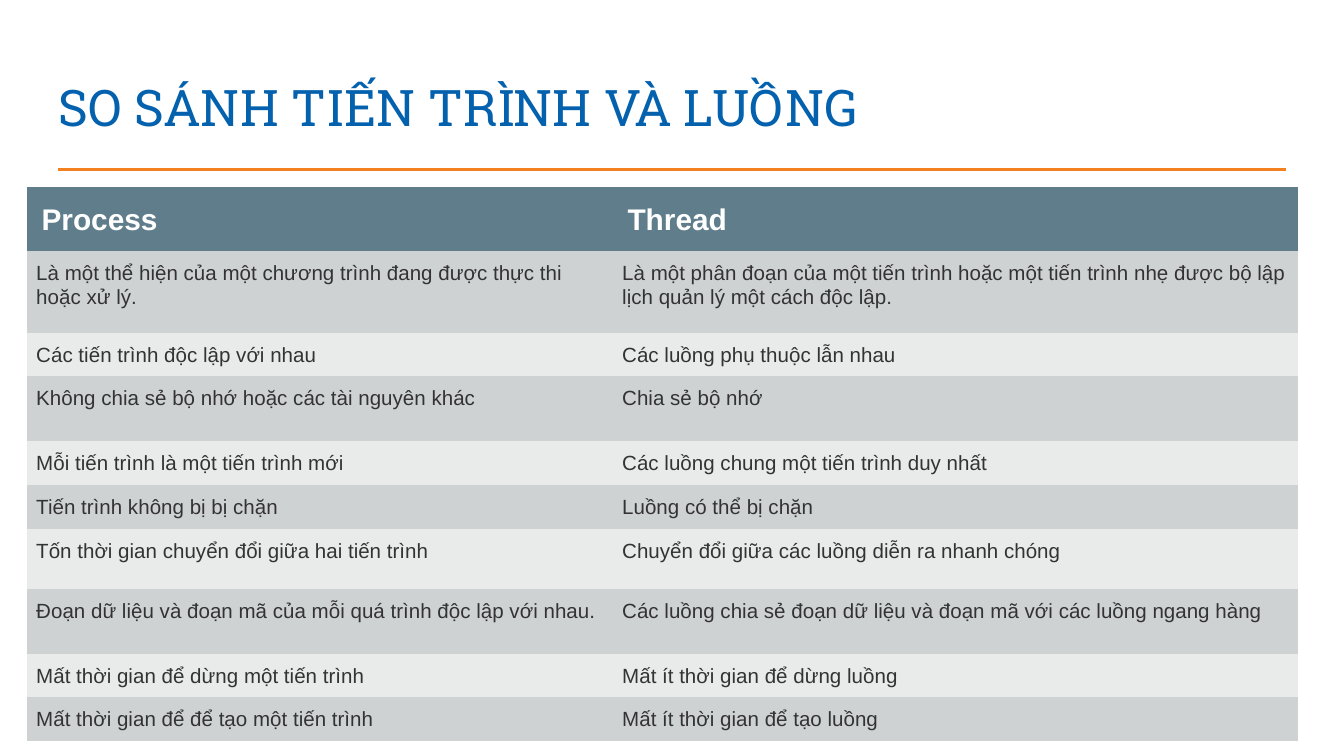
from dataclasses import dataclass

from lxml.etree import SubElement
from pptx import Presentation
from pptx.dml.color import RGBColor as RGB
from pptx.enum.shapes import MSO_CONNECTOR as Link
from pptx.enum.text import MSO_ANCHOR as Anchor
from pptx.oxml.ns import qn
from pptx.util import Inches, Pt


@dataclass(frozen=True)
class Theme:
    blue: RGB = RGB.from_string("0361AE")
    orange: RGB = RGB.from_string("F48121")
    slate: RGB = RGB.from_string("607D8B")
    white: RGB = RGB.from_string("FFFFFF")
    ink: RGB = RGB.from_string("333333")
    bands: tuple = (RGB.from_string("CFD2D3"), RGB.from_string("E9EAEA"))
    serif: str = "Roboto Slab"
    sans: str = "Arial"
    title: Pt = Pt(27)
    head: Pt = Pt(16)
    body: Pt = Pt(11)


theme = Theme()
NO_GRID = "{2D5ABB26-0587-4C30-8999-92F81FD0307C}"
SIDES = ("left", "top", "right", "bottom")


def write(para, text, color, **font):
    run = para.add_run()
    run.text = text
    run.font.color.rgb = color
    for key, value in font.items():
        setattr(run.font, key, value)


def inset(box, pads):
    for side, pad in zip(SIDES, pads):
        setattr(box, f"margin_{side}", Inches(pad))


deck = Presentation()
deck.slide_width = Inches(10)
deck.slide_height = Inches(10 * 9 / 16)
slide = deck.slides.add_slide(deck.slide_layouts[6])

# Title and rule
rule = slide.shapes.add_connector(
    Link.STRAIGHT, Inches(0.43), Inches(1.26), Inches(9.57), Inches(1.26))
rule.line.color.rgb = theme.orange
rule.line.width = Pt(1.5)
SubElement(rule._element.spPr, qn("a:effectLst"))

title = slide.shapes.add_textbox(
    Inches(0.34), Inches(0.49), Inches(9.32), Inches(0.63)).text_frame
title.word_wrap = True
title.vertical_anchor = Anchor.BOTTOM
inset(title, [0.1] * 4)
write(title.paragraphs[0], "SO SÁNH TIẾN TRÌNH VÀ LUỒNG", theme.blue,
      name=theme.serif, size=theme.title)

# Comparison table: height, process, thread
rows = [
    (0.4, "Process", "Thread"),
    (0.61, "Là một thể hiện của một chương trình đang được thực thi hoặc xử lý.",
     "Là một phân đoạn của một tiến trình hoặc một tiến trình nhẹ được bộ lập "
     "lịch quản lý một cách độc lập."),
    (0.31, "Các tiến trình độc lập với nhau", "Các luồng phụ thuộc lẫn nhau"),
    (0.48, "Không chia sẻ bộ nhớ hoặc các tài nguyên khác", "Chia sẻ bộ nhớ"),
    (0.31, "Mỗi tiến trình là một tiến trình mới",
     "Các luồng chung một tiến trình duy nhất"),
    (0.31, "Tiến trình không bị bị chặn", "Luồng có thể bị chặn"),
    (0.45, "Tốn thời gian chuyển đổi giữa hai tiến trình",
     "Chuyển đổi giữa các luồng diễn ra nhanh chóng"),
    (0.48, "Đoạn dữ liệu và đoạn mã của mỗi quá trình độc lập với nhau.",
     "Các luồng chia sẻ đoạn dữ liệu và đoạn mã với các luồng ngang hàng"),
    (0.31, "Mất thời gian để dừng một tiến trình",
     "Mất ít thời gian để dừng luồng"),
    (0.31, "Mất thời gian để để tạo một tiến trình",
     "Mất ít thời gian để tạo luồng"),
]
widths = (4.36, 5.1)
high = sum(row[0] for row in rows)
table = slide.shapes.add_table(
    len(rows), len(widths), Inches(0.2), Inches(1.39),
    Inches(sum(widths)), Inches(high)).table
table.horz_banding = False
table._tbl.tblPr.find(qn("a:tableStyleId")).text = NO_GRID
for col, width in zip(table.columns, widths):
    col.width = Inches(width)

head = dict(fill=theme.slate, color=theme.white, size=theme.head,
            bold=True, pads=(0.11, 0.11, 0.11, 0.08), after=0)
for i, (height, *texts) in enumerate(rows):
    look = head if i == 0 else dict(
        fill=theme.bands[(i - 1) % 2], color=theme.ink, size=theme.body,
        bold=False, pads=(0.07, 0.07, 0.07, 0.06), after=8)
    table.rows[i].height = Inches(height)
    for j, text in enumerate(texts):
        cell = table.cell(i, j)
        cell.fill.solid()
        cell.fill.fore_color.rgb = look["fill"]
        inset(cell, look["pads"])
        para = cell.text_frame.paragraphs[0]
        para.line_spacing = 1.07
        para.space_after = Pt(look["after"])
        write(para, text, look["color"], name=theme.sans,
              size=look["size"], bold=look["bold"])

deck.save("out.pptx")
